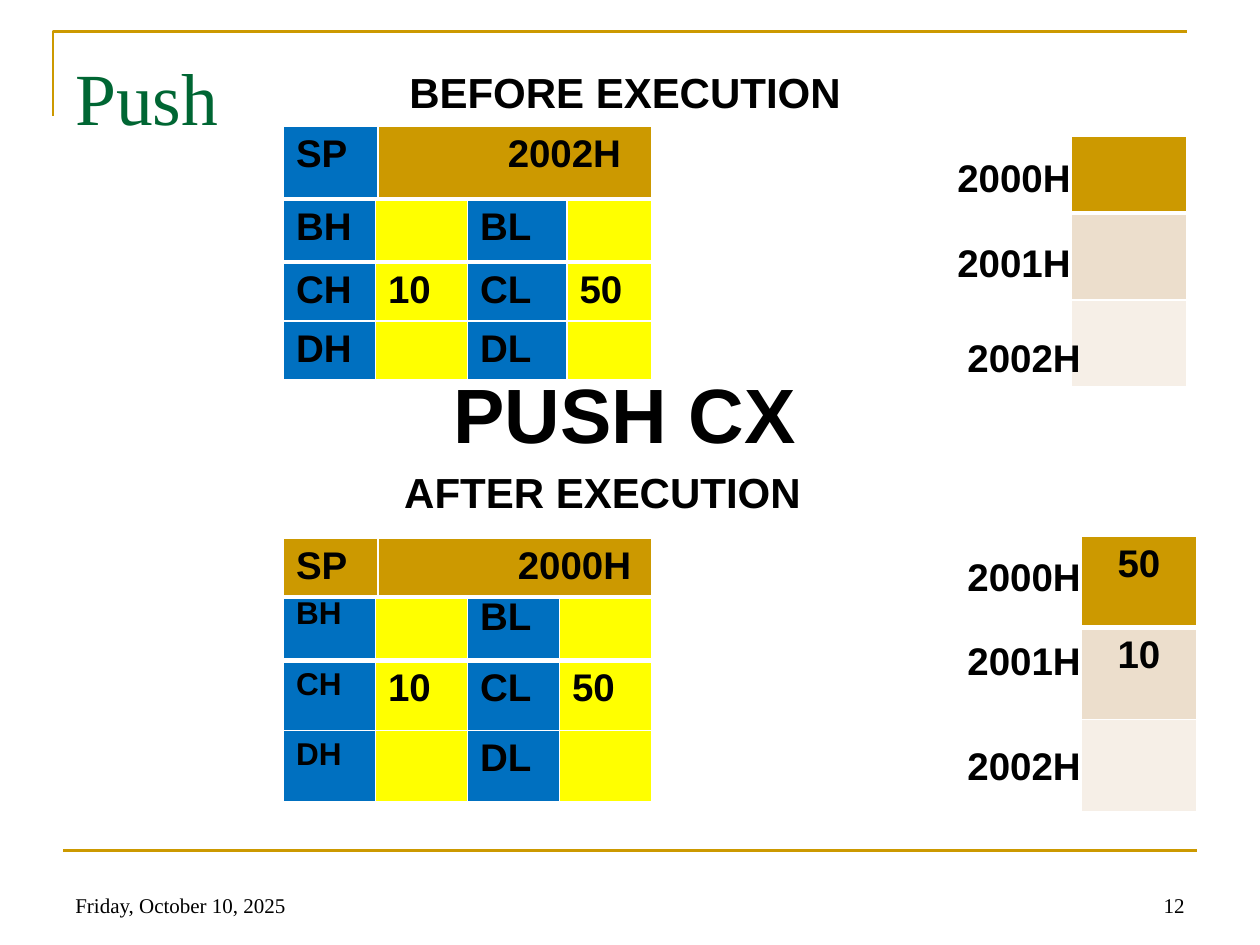
import dataclasses

import pptx
import pptx.dml.color
import pptx.enum.shapes
import pptx.enum.text
import pptx.oxml
import pptx.oxml.ns
import pptx.util

Inches = pptx.util.Inches
Pt = pptx.util.Pt
Align = pptx.enum.text.PP_ALIGN
Anchor = pptx.enum.text.MSO_ANCHOR


@dataclasses.dataclass(frozen=True)
class Theme:
    gold: str = "CC9900"
    green: str = "006633"
    blue: str = "0070C0"
    yellow: str = "FFFF00"
    sand: str = "ECDECC"
    cream: str = "F6EFE7"
    black: str = "000000"
    white: str = "FFFFFF"
    sans: str = "Arial"
    serif: str = "Times New Roman"
    title: int = 42
    code: int = 44
    head: int = 24
    body: int = 22
    small: int = 18
    foot: int = 12


THEME = Theme()


def rgb(code):
    return pptx.dml.color.RGBColor.from_string(code)


def add_run(para, text, size, face=THEME.sans, bold=True, color=THEME.black):
    run = para.add_run()
    run.text = text
    font = run.font
    font.size, font.name, font.bold = Pt(size), face, bold
    font.color.rgb = rgb(color)


def add_text(slide, box, text, size, align=Align.LEFT, anchor=Anchor.TOP, **style):
    frame = slide.shapes.add_textbox(*map(Inches, box)).text_frame
    frame.word_wrap = True
    frame.vertical_anchor = anchor
    para = frame.paragraphs[0]
    para.alignment = align
    add_run(para, text, size, **style)


def set_line(shape):
    shape.line.color.rgb = rgb(THEME.gold)
    shape.line.width = Pt(1.5)


def add_frame(slide):
    # Corner at the top left
    draft = slide.shapes.build_freeform(Inches(0.42), Inches(0.92))
    draft.add_line_segments(
        [(Inches(0.42), Inches(0.25)), (Inches(9.42), Inches(0.25))], close=False)
    corner = draft.convert_to_shape()
    corner.fill.background()
    corner.shadow.inherit = False
    set_line(corner)
    # Rule above the footer
    rule = slide.shapes.add_connector(
        pptx.enum.shapes.MSO_CONNECTOR.STRAIGHT,
        Inches(0.5), Inches(6.75), Inches(9.5), Inches(6.75))
    set_line(rule)
    rule._element.spPr.append(pptx.oxml.parse_xml(
        f'<a:effectLst {pptx.oxml.ns.nsdecls("a")}/>'))


def set_edge(cell, side, width):
    cell._tc.get_or_add_tcPr().append(pptx.oxml.parse_xml(
        f'<a:{side} {pptx.oxml.ns.nsdecls("a")} w="{Pt(width)}"><a:solidFill>'
        f'<a:srgbClr val="{THEME.white}"/></a:solidFill></a:{side}>'))


def add_grid(slide, left, top, cols, rows, texts, fills,
             sizes=None, align=Align.LEFT, indent=None):
    """Draw a table with a thick edge below its first row."""
    table = slide.shapes.add_table(
        len(rows), len(cols), Inches(left), Inches(top),
        Inches(sum(cols)), Inches(sum(rows))).table
    table.first_row = table.horz_banding = False
    for col, width in zip(table.columns, cols):
        col.width = Inches(width)
    for r, height in enumerate(rows):
        table.rows[r].height = Inches(height)
        for c in range(len(cols)):
            cell = table.cell(r, c)
            widths = {"lnL": 1, "lnR": 1,
                      "lnT": 3 if r == 1 else 1, "lnB": 3 if r == 0 else 1}
            for side, width in widths.items():
                set_edge(cell, side, width)
            cell.fill.solid()
            cell.fill.fore_color.rgb = rgb(fills[r][c])
            if texts[r][c]:
                para = cell.text_frame.paragraphs[0]
                para.alignment = align
                add_run(para, texts[r][c], sizes[c] if sizes else THEME.body)
    if indent:
        table.cell(0, len(cols) - 1).margin_left = Inches(indent)


def add_regs(slide, top, cols, rows, sizes=None):
    texts = [("BH", "", "BL", ""), ("CH", "10", "CL", "50"), ("DH", "", "DL", "")]
    fills = [(THEME.blue, THEME.yellow) * 2] * 3
    add_grid(slide, 2.25, top, cols, rows, texts, fills, sizes)


def add_stack(slide, left, top, rows, texts):
    fills = [(THEME.gold,), (THEME.sand,), (THEME.cream,)]
    add_grid(slide, left, top, [0.92], rows, [(t,) for t in texts], fills,
             align=Align.CENTER)


def add_point(slide, top, height, text, fill, indent):
    add_grid(slide, 2.25, top, [0.75, 2.17], [height], [("SP", text)],
             [(fill, THEME.gold)], indent=indent)


def add_marks(slide, spots):
    for n, (left, top) in enumerate(spots):
        add_text(slide, (left, top, 1.58, 0.4), f"200{n}H", THEME.body)


def main():
    deck = pptx.Presentation()
    deck.slide_width, deck.slide_height = Inches(10), Inches(7.5)
    slide = deck.slides.add_slide(deck.slide_layouts[6])

    # Frame, title and footer
    add_frame(slide)
    add_text(slide, (0.5, 0.36, 9.5, 1.19), "Push", THEME.title,
             face=THEME.serif, bold=False, color=THEME.green)
    foot = dict(anchor=Anchor.BOTTOM, face=THEME.serif, bold=False)
    add_text(slide, (7.17, 6.83, 2.33, 0.5), "12", THEME.foot,
             align=Align.RIGHT, **foot)
    add_text(slide, (0.5, 6.83, 2.33, 0.5), "Friday, October 10, 2025",
             THEME.foot, **foot)

    # State before the push
    add_regs(slide, 1.58, [0.73, 0.73, 0.79, 0.67], [0.5, 0.41, 0.41])
    add_stack(slide, 8.5, 1.08, [0.61, 0.69, 0.69], ["", "", ""])
    add_point(slide, 1, 0.58, "2002H", THEME.blue, 1.03)
    add_text(slide, (3.15, 0.48, 4.14, 0.5), "BEFORE EXECUTION", THEME.head)
    add_marks(slide, [(7.5, 1.17), (7.5, 1.85), (7.58, 2.6)])

    # State after the push
    add_regs(slide, 4.68, [0.73] * 4, [0.56] * 3,
             [THEME.small] + [THEME.body] * 3)
    add_stack(slide, 8.58, 4.26, [0.72, 0.73, 0.73], ["50", "10", ""])
    add_point(slide, 4.27, 0.41, "2000H", THEME.gold, 1.11)
    add_text(slide, (3.11, 3.65, 4.03, 0.5), "AFTER EXECUTION", THEME.head)
    add_marks(slide, [(7.58, 4.34), (7.58, 5.01), (7.58, 5.84)])

    # Command
    add_text(slide, (3.5, 2.86, 3.25, 0.84), "PUSH CX", THEME.code)

    deck.save("out.pptx")


if __name__ == "__main__":
    main()
